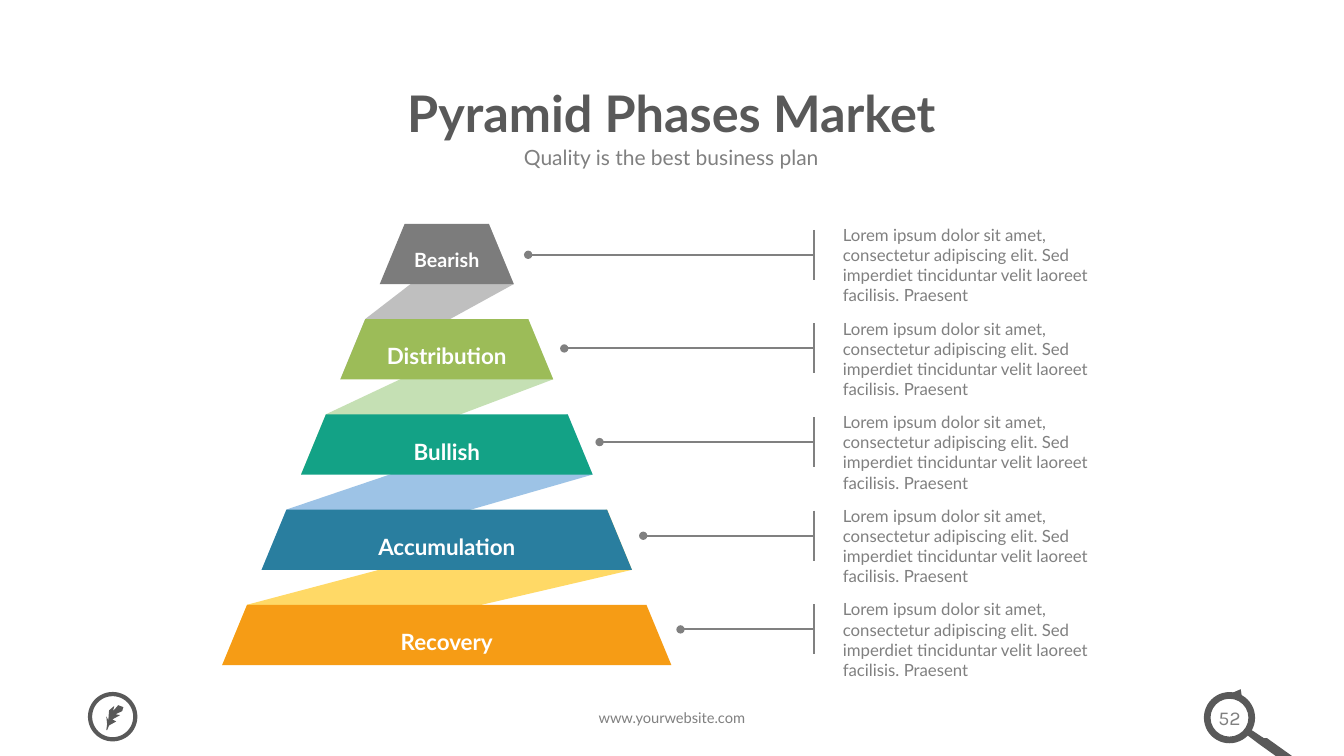
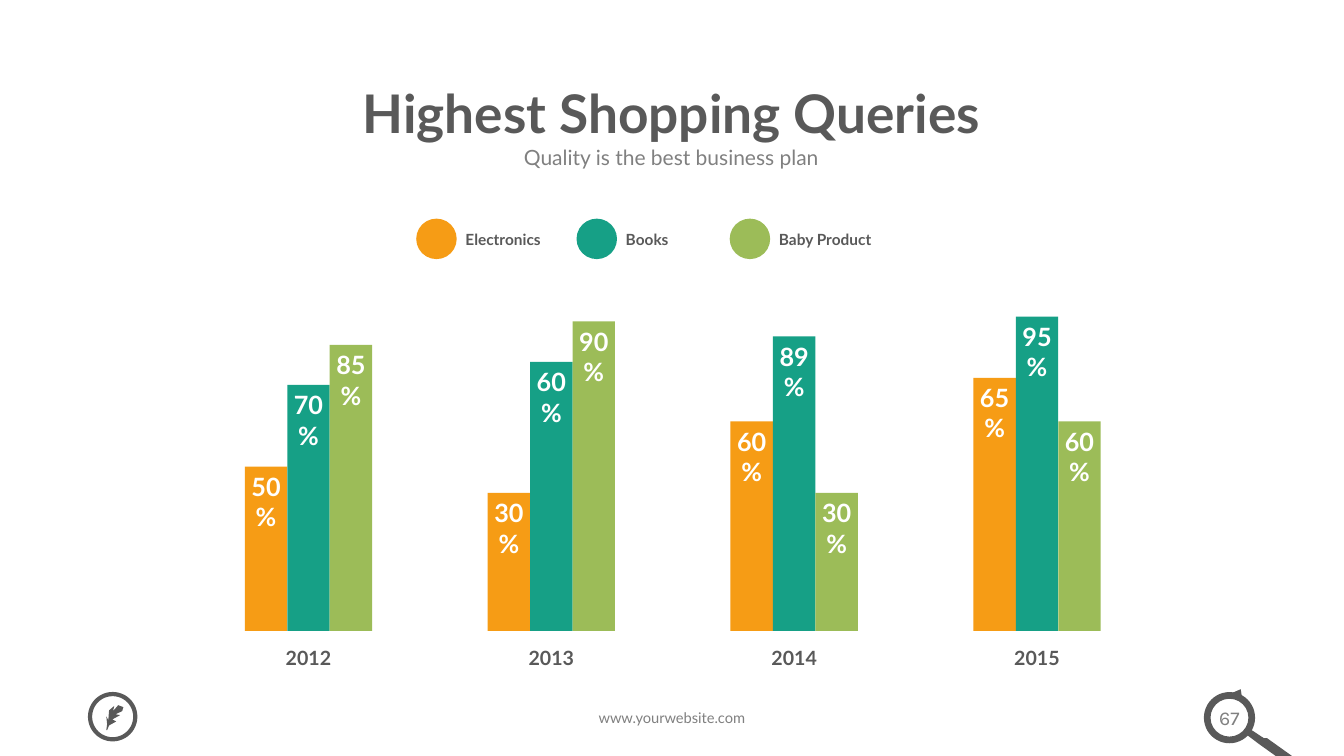
"""Build a two-slide deck: a pyramid of market phases and a bar comparison."""
from dataclasses import dataclass

from lxml import etree
from pptx import Presentation
from pptx.dml.color import RGBColor
from pptx.enum import shapes, text
from pptx.oxml import ns
from pptx.util import Cm, Pt


@dataclass(frozen=True)
class Theme:
    """Colours, fonts and type sizes shared by the slides."""

    ink: str = "595959"
    muted: str = "808080"
    white: str = "FFFFFF"
    orange: str = "F69C15"
    blue: str = "297E9F"
    jade: str = "13A286"
    teal: str = "16A086"
    green: str = "9CBC58"
    grey: str = "7C7C7C"
    pale_yellow: str = "FFD966"
    pale_blue: str = "9DC3E6"
    pale_green: str = "C5E0B4"
    pale_grey: str = "BFBFBF"
    font: str = "Lato"
    number_font: str = "Karla"
    subtitle: float = 15
    share: float = 18
    label: float = 16
    small_label: float = 14
    note: float = 12
    legend: float = 11
    website: float = 10.5
    rule: float = 1.5
    ring: float = 3


@dataclass(frozen=True)
class Box:
    """A region of the slide in centimetres."""

    left: float
    top: float
    width: float
    height: float

    def lengths(self):
        """Return the four lengths in slide units."""
        return [Cm(value) for value in (self.left, self.top, self.width, self.height)]


@dataclass(frozen=True)
class Phase:
    """One pyramid tier, its ribbon to the next tier and its leader start."""

    name: str
    fill: str
    ribbon: str
    leader: float
    size: float


THEME = Theme()
CENTER, LEFT = text.PP_ALIGN.CENTER, text.PP_ALIGN.LEFT
TOP, MIDDLE = text.MSO_ANCHOR.TOP, text.MSO_ANCHOR.MIDDLE
NOTE = ("Lorem ipsum dolor sit amet, consectetur adipiscing elit. "
        "Sed imperdiet tinciduntar velit laoreet facilisis. Praesent")
PHASES = [
    Phase("Bearish", THEME.grey, THEME.pale_grey, 13.31, THEME.small_label),
    Phase("Distribution", THEME.green, THEME.pale_green, 14.22, THEME.label),
    Phase("Bullish", THEME.jade, THEME.pale_blue, 15.11, THEME.label),
    Phase("Accumulation", THEME.blue, THEME.pale_yellow, 16.21, THEME.label),
    Phase("Recovery", THEME.orange, "", 17.15, THEME.label),
]
SERIES = [("Electronics", THEME.orange, 10.49),
          ("Books", THEME.teal, 14.53),
          ("Baby Product", THEME.green, 18.39)]
YEARS = {
    "2012": [("50%", 4.14), ("70%", 6.2), ("85%", 7.21)],
    "2013": [("30%", 3.48), ("60%", 6.78), ("90%", 7.8)],
    "2014": [("60%", 5.28), ("89%", 7.42), ("30%", 3.48)],
    "2015": [("65%", 6.38), ("95%", 7.92), ("60%", 5.28)],
}
FEATHER = [(0.43, 0.91), (0.48, 0.79), (0.66, 0.69), (0.56, 0.64),
           (0.76, 0.53), (0.64, 0.51), (0.81, 0.43), (0.84, 0.33),
           (0.71, 0.28), (0.58, 0.43), (0.61, 0.3), (0.48, 0.41),
           (0.46, 0.66), (0.41, 0.56), (0.43, 0.76), (0.41, 0.91)]
HANDLE = [(1.16, 0.93), (1.51, 1.16), (1.59, 1.16), (2.22, 1.61),
          (1.81, 1.61), (1.39, 1.31), (1.06, 1.06)]


def assign(target, values):
    """Set each named attribute on the target."""
    for name, value in values.items():
        setattr(target, name, value)


def write(shape, words, size, color, bold=False, align=CENTER, anchor=TOP,
          spacing=1.0, font=THEME.font, inset=0.0, wrap=True):
    """Put one formatted paragraph into a shape."""
    frame = shape.text_frame
    assign(frame, dict(
        word_wrap=wrap, auto_size=text.MSO_AUTO_SIZE.NONE, vertical_anchor=anchor,
        margin_left=0, margin_right=0, margin_top=Cm(inset), margin_bottom=0))
    para = frame.paragraphs[0]
    assign(para, dict(alignment=align, line_spacing=spacing))
    span = para.add_run()
    span.text = words
    assign(span.font, dict(name=font, size=Pt(size), bold=bold))
    span.font.color.rgb = RGBColor.from_string(color)


def add_text(page, box, words, size, color, **style):
    """Add a text box with one formatted paragraph."""
    write(page.shapes.add_textbox(*box.lengths()), words, size, color, **style)


def paint(shape, color):
    """Give a shape a flat fill with no line or shadow."""
    shape.shadow.inherit = False
    shape.fill.solid()
    shape.fill.fore_color.rgb = RGBColor.from_string(color)
    shape.line.fill.background()
    return shape


def add_preset(page, kind, box, color):
    """Add a flat preset shape."""
    return paint(page.shapes.add_shape(kind, *box.lengths()), color)


def add_polygon(page, points, color, left=0.0, top=0.0):
    """Add a flat closed outline offset from a corner."""
    corners = [(Cm(left + x), Cm(top + y)) for x, y in points]
    builder = page.shapes.build_freeform(*corners[0])
    builder.add_line_segments(corners[1:], close=True)
    return paint(builder.convert_to_shape(), color)


def add_rule(page, start, end, dot=False):
    """Add a thin line, with a round end when asked."""
    ends = [Cm(value) for value in (*start, *end)]
    rule = page.shapes.add_connector(shapes.MSO_CONNECTOR.STRAIGHT, *ends)
    rule.line.width = Pt(THEME.rule)
    rule.line.color.rgb = RGBColor.from_string(THEME.muted)
    if dot:
        outline = rule.line.color and rule.element.spPr.find(ns.qn("a:ln"))
        etree.SubElement(outline, ns.qn("a:tailEnd"), type="oval")
    etree.SubElement(rule.element.spPr, ns.qn("a:effectLst"))


def place_heading(page, box, title, size):
    """Place the title placeholder and the subtitle under it."""
    holder = page.shapes.title
    names = ("left", "top", "width", "height")
    place = Box(box.left, box.top, box.width, 2.08)
    assign(holder, dict(zip(names, place.lengths())))
    write(holder, title, size, THEME.ink, bold=True, anchor=MIDDLE, spacing=0.9)
    subtitle = Box(box.left, box.top + 1.73, box.width, box.height - 1.73)
    add_text(page, subtitle, "Quality is the best business plan",
             THEME.subtitle, THEME.muted, anchor=MIDDLE)


def place_emblem(page, box):
    """Draw the ringed feather."""
    ring = add_preset(page, shapes.MSO_SHAPE.OVAL, box, THEME.ink)
    ring.fill.background()
    ring.line.width = Pt(THEME.ring)
    ring.line.color.rgb = RGBColor.from_string(THEME.ink)
    add_polygon(page, FEATHER, THEME.ink, box.left, box.top)


def place_page_number(page, box, number):
    """Draw the magnifier with the page number in its lens."""
    add_polygon(page, HANDLE, THEME.ink, box.left, box.top)
    lens = add_preset(page, shapes.MSO_SHAPE.DONUT, box, THEME.ink)
    lens.adjustments[0] = 0.13
    tip = add_preset(page, shapes.MSO_SHAPE.RIGHT_ARROW,
                     Box(box.left + 0.72, box.top - 0.09, 0.28, 0.28), THEME.ink)
    tip.rotation = 298.7
    tip.adjustments[0], tip.adjustments[1] = 0.32, 0.64
    add_text(page, box, number, THEME.small_label, THEME.muted,
             font=THEME.number_font, anchor=MIDDLE, wrap=False)


def place_footer(page, box, number):
    """Place the emblem, the web address and the page number."""
    place_emblem(page, Box(box.left, box.top + 0.05, 1.14, 1.14))
    add_text(page, Box(box.left + 8.53, box.top + 0.27, 12.27, 0.74),
             "www.yourwebsite.com", THEME.website, THEME.muted, anchor=MIDDLE)
    right = box.left + box.width
    place_page_number(page, Box(right - 1.29, box.top, 1.29, 1.29), number)


def place_pyramid(page, box):
    """Stack the tiers in the box and join them with ribbons."""
    tier_height, tip_half = 1.52, 1.06
    step = (box.height - tier_height) / (len(PHASES) - 1)
    slope = (box.width / 2 - tip_half) / box.height
    center = box.left + box.width / 2

    def edge(depth, side):
        return center + side * (tip_half + slope * depth), box.top + depth

    for index, phase in enumerate(PHASES[:-1]):
        upper, lower = index * step, (index + 1) * step
        add_polygon(page, [edge(upper, 1), edge(lower, -1),
                           edge(lower + tier_height, -1),
                           edge(upper + tier_height, 1)], phase.ribbon)
    for index, phase in enumerate(PHASES):
        upper = index * step
        lower = upper + tier_height
        tier = add_polygon(page, [edge(upper, -1), edge(upper, 1),
                                  edge(lower, 1), edge(lower, -1)], phase.fill)
        write(tier, phase.name, phase.size, THEME.white, bold=True,
              anchor=MIDDLE, spacing=1.5, wrap=False)


def place_notes(page, box):
    """Place a leader, a tick and a note for each phase."""
    tick = 1.26
    step = (box.height - tick) / (len(PHASES) - 1)
    for index, phase in enumerate(PHASES):
        top = box.top + index * step
        middle = top + tick / 2
        add_rule(page, (box.left, top), (box.left, top + tick))
        add_rule(page, (box.left, middle), (phase.leader, middle), dot=True)
        add_text(page, Box(box.left + 0.73, top - 0.13, box.width - 0.73, 2.03),
                 NOTE, THEME.note, THEME.muted, align=LEFT)


def place_legend(page, box):
    """Place a dot and a name for each series."""
    dot = box.height
    for name, color, left in SERIES:
        add_preset(page, shapes.MSO_SHAPE.OVAL, Box(left, box.top, dot, dot), color)
        add_text(page, Box(left + dot + 0.22, box.top, 3, dot), name,
                 THEME.legend, THEME.ink, bold=True, align=LEFT, anchor=MIDDLE)


def place_bars(page, box):
    """Draw a cluster of labelled bars for each year."""
    bar_width, baseline = 1.07, box.top + box.height
    cluster = bar_width * len(SERIES)
    step = (box.width - cluster) / (len(YEARS) - 1)
    for index, (year, bars) in enumerate(YEARS.items()):
        left = box.left + index * step
        for order, ((share, height), (_, color, _)) in enumerate(zip(bars, SERIES)):
            place = Box(left + order * bar_width, baseline - height, bar_width, height)
            bar = add_preset(page, shapes.MSO_SHAPE.RECTANGLE, place, color)
            write(bar, share, THEME.share, THEME.white, bold=True, inset=0.12)
        add_text(page, Box(left, baseline + 0.38, cluster, 0.61), year,
                 THEME.small_label, THEME.ink, bold=True)


def add_page(deck, title, size, number):
    """Add a slide with the shared heading and footer."""
    page = deck.slides.add_slide(deck.slide_layouts[5])
    place_heading(page, Box(4.22, 1.9, 25.4, 2.37), title, size)
    place_footer(page, Box(2.27, 17.44, 29.36, 1.29), number)
    return page


def main():
    """Build and save the deck."""
    deck = Presentation()
    assign(deck, dict(slide_width=Cm(33.87), slide_height=Cm(19.05)))
    phases = add_page(deck, "Pyramid Phases Market", 36, "52")
    place_pyramid(phases, Box(5.6, 5.64, 11.32, 11.12))
    place_notes(phases, Box(20.51, 5.79, 8.1, 10.7))
    queries = add_page(deck, "Highest Shopping Queries", 38, "67")
    place_legend(queries, Box(10.49, 5.51, 12.27, 1.02))
    place_bars(queries, Box(6.17, 7.98, 21.57, 7.92))
    deck.save("out.pptx")


if __name__ == "__main__":
    main()
